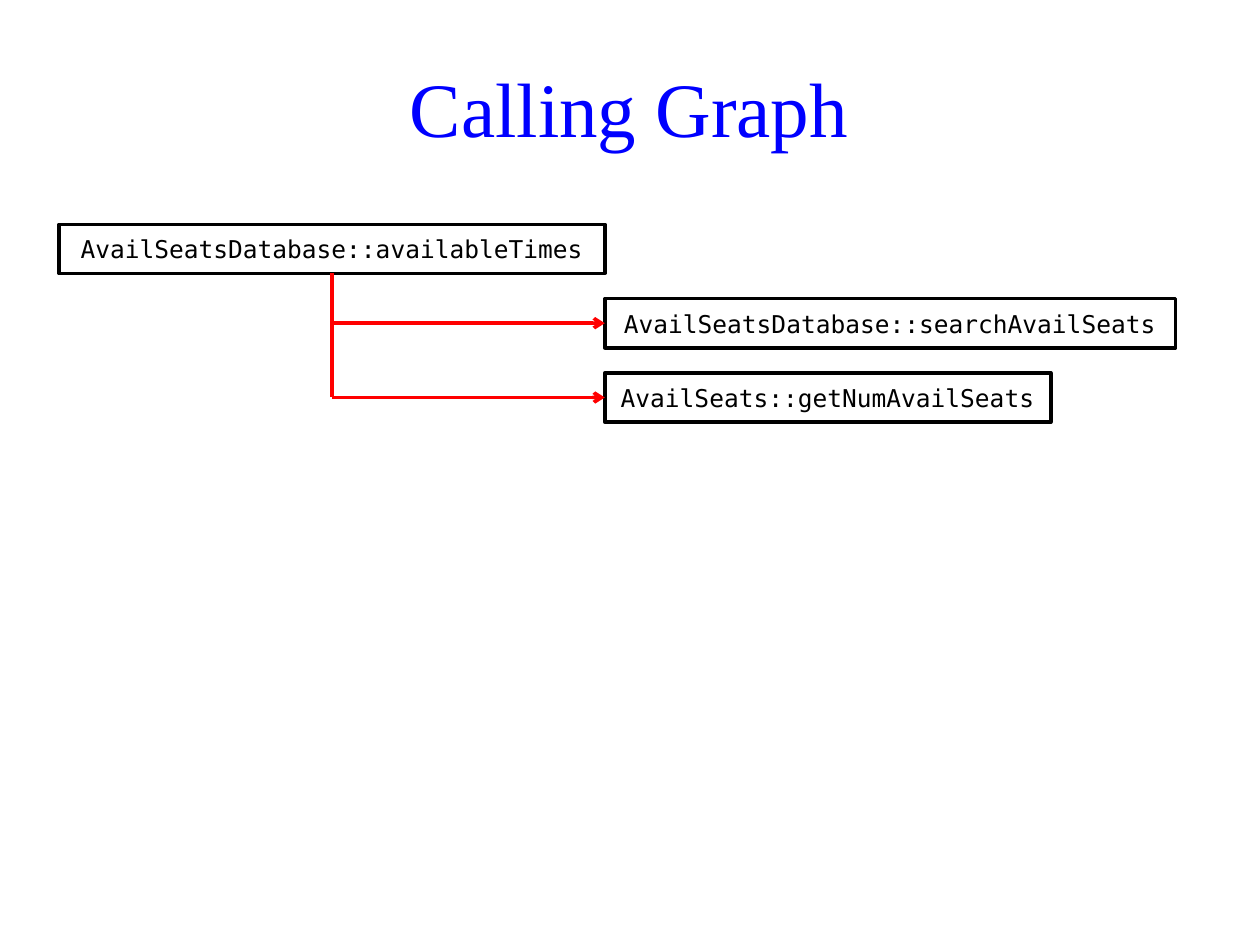
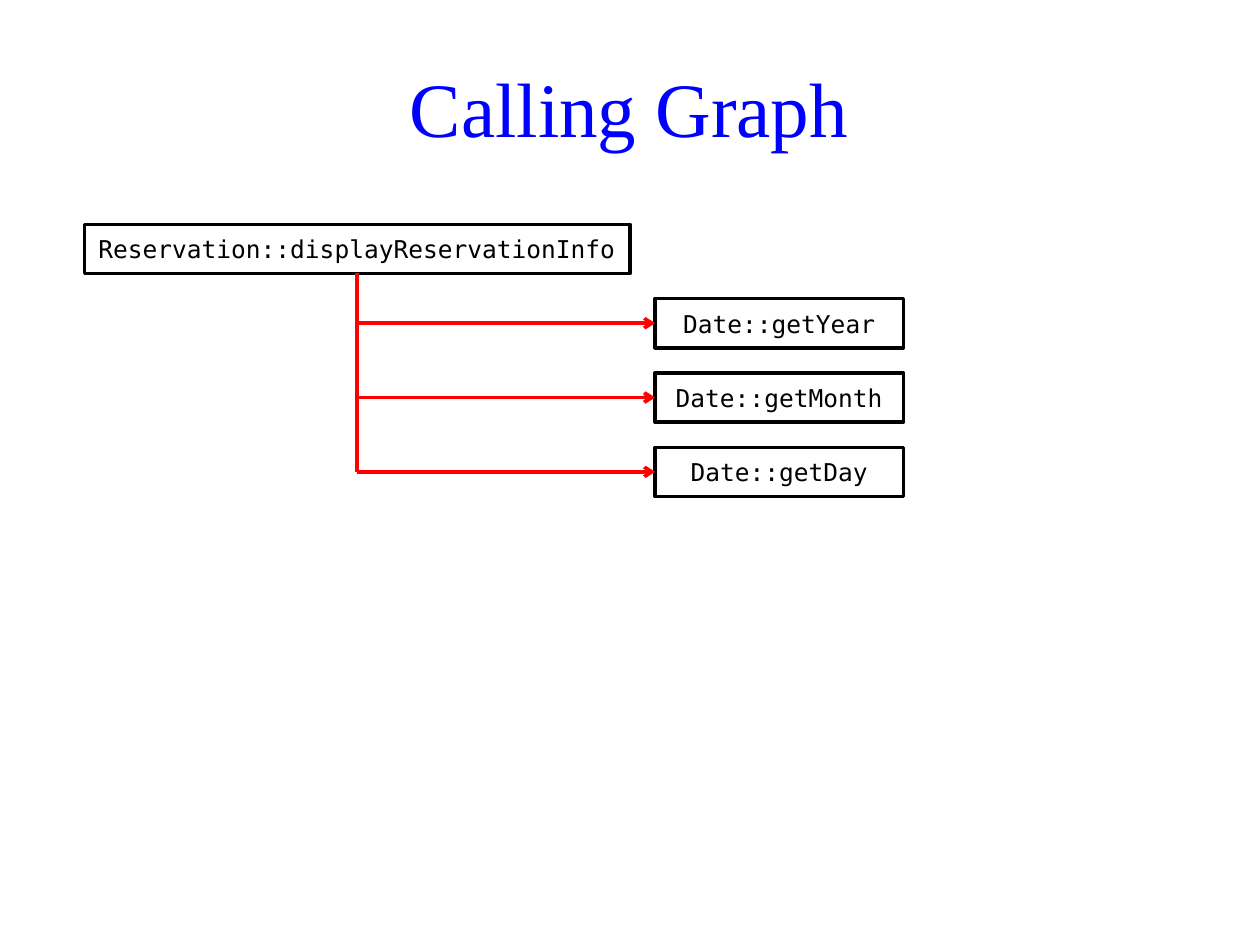
from pptx import Presentation
from pptx.dml.color import RGBColor
from pptx.enum.shapes import MSO_CONNECTOR as Connector, MSO_SHAPE as Shape
from pptx.enum.text import MSO_ANCHOR as Anchor, PP_ALIGN as Align
from pptx.oxml.ns import qn
from pptx.util import Inches, Pt
from lxml.etree import SubElement

# Shared style
BLACK = RGBColor(0x00, 0x00, 0x00)
TITLE_BLUE = RGBColor(0x00, 0x00, 0xFF)
CALL_RED = RGBColor(0xFF, 0x00, 0x00)
TITLE_FONT = "Times New Roman"
CODE_FONT = "DejaVu Sans Mono"
LINE_WIDTH = Pt(2)

# Row grid in inches: the caller is in row 0, the called functions follow
FIRST_ROW = 1.78
ROW_STEP = 0.59
BOX_HEIGHT = 0.39


def row_top(row):
    return FIRST_ROW + row * ROW_STEP


def row_middle(row):
    return row_top(row) + BOX_HEIGHT / 2


def write(frame, text, font, size, color):
    """Put one centred run into a text frame and return its paragraph."""
    frame.word_wrap = True
    frame.vertical_anchor = Anchor.MIDDLE
    paragraph = frame.paragraphs[0]
    paragraph.alignment = Align.CENTER
    run = paragraph.add_run()
    run.text = text
    run.font.name = font
    run.font.size = Pt(size)
    run.font.color.rgb = color
    return paragraph


def add_title(slide, text):
    title = slide.shapes.add_textbox(
        Inches(0.27), Inches(0.4), Inches(9.45), Inches(0.98))
    paragraph = write(title.text_frame, text, TITLE_FONT, 44, TITLE_BLUE)
    paragraph.line_spacing = 0.9


def add_function(slide, name, left, row, width):
    function = slide.shapes.add_shape(
        Shape.FLOWCHART_PROCESS, Inches(left), Inches(row_top(row)),
        Inches(width), Inches(BOX_HEIGHT))
    function.shadow.inherit = False
    function.fill.background()
    function.line.color.rgb = BLACK
    function.line.width = LINE_WIDTH
    write(function.text_frame, name, CODE_FONT, 14, BLACK)


def add_call_line(slide, start, end, arrow=False):
    ends = [Inches(value) for value in (*start, *end)]
    call = slide.shapes.add_connector(Connector.STRAIGHT, *ends)
    call.line.color.rgb = CALL_RED
    call.line.width = LINE_WIDTH
    if arrow:
        SubElement(call.line._get_or_add_ln(), qn("a:tailEnd"), type="arrow")
    SubElement(call._element.spPr, qn("a:effectLst"))


def add_calling_graph(deck, caller, caller_left, callee_left, callees):
    """Add a slide with a caller and the (name, width) functions it calls."""
    slide = deck.slides.add_slide(deck.slide_layouts[6])
    add_title(slide, "Calling Graph")

    # Caller and the trunk below its centre
    caller_width = 4.33
    add_function(slide, caller, caller_left, 0, caller_width)
    trunk = caller_left + caller_width / 2
    add_call_line(slide, (trunk, row_top(0) + BOX_HEIGHT),
                  (trunk, row_middle(len(callees))))

    # One branch for each called function
    for row, (name, width) in enumerate(callees, start=1):
        add_function(slide, name, callee_left, row, width)
        add_call_line(slide, (trunk, row_middle(row)),
                      (callee_left, row_middle(row)), arrow=True)


def main():
    deck = Presentation()
    deck.slide_width, deck.slide_height = Inches(10), Inches(7.5)

    add_calling_graph(
        deck, "AvailSeatsDatabase::availableTimes", 0.47, 4.8,
        [("AvailSeatsDatabase::searchAvailSeats", 4.53),
         ("AvailSeats::getNumAvailSeats", 3.54)])

    date_width = 1.97
    add_calling_graph(
        deck, "Reservation::displayReservationInfo", 0.67, 5.2,
        [("Date::getYear", date_width),
         ("Date::getMonth", date_width),
         ("Date::getDay", date_width)])

    deck.save("out.pptx")


main()
